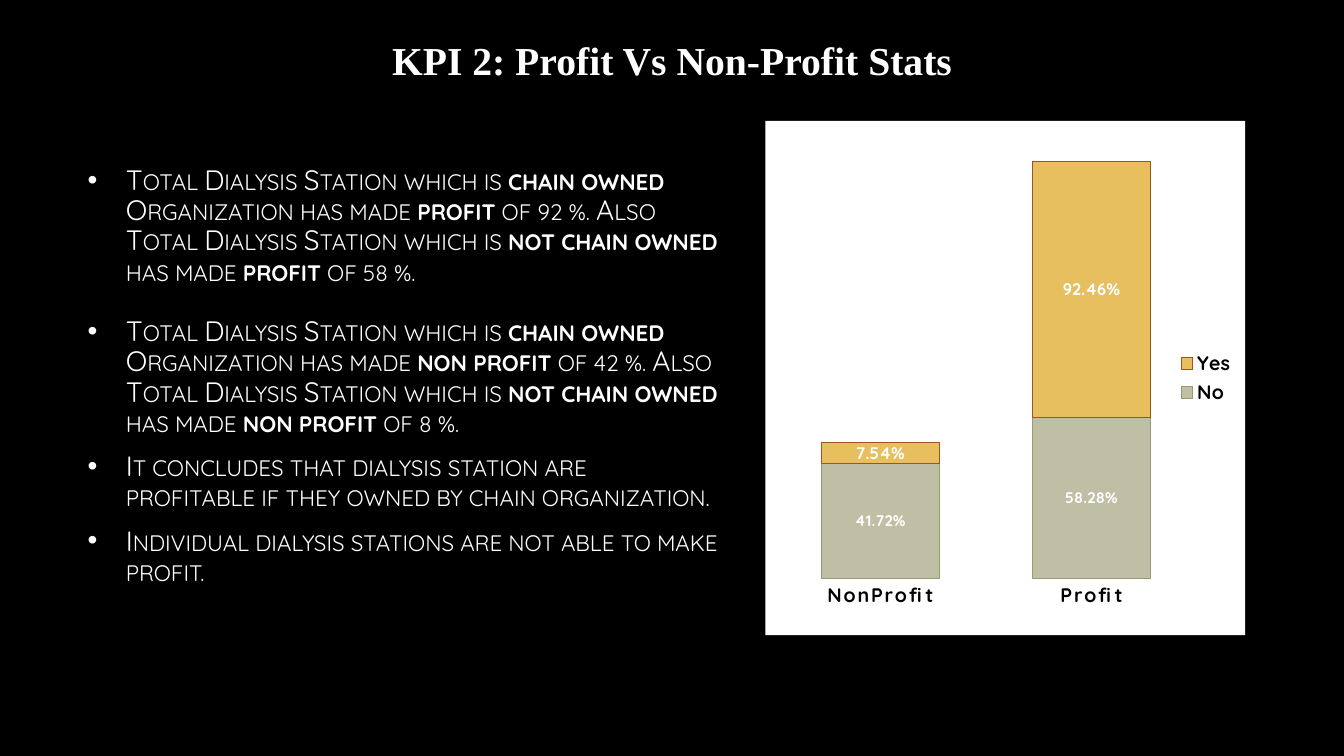
from lxml.etree import SubElement
from pptx import Presentation
from pptx.chart.data import CategoryChartData
from pptx.dml.color import RGBColor
from pptx.enum.chart import XL_CHART_TYPE, XL_LEGEND_POSITION, XL_TICK_MARK
from pptx.enum.text import MSO_ANCHOR, PP_ALIGN
from pptx.oxml import parse_xml
from pptx.oxml.ns import nsdecls, qn
from pptx.util import Inches, Pt

COLORS = {
    "black": "000000",
    "white": "FFFFFF",
    "no": "BFBFA5",
    "no_line": "9A9A71",
    "yes": "E7BF5F",
    "yes_line": "9D5425",
}
BODY_FONT = "Quicksand"
TITLE_FONT = "Times New Roman"
PERCENT = "0.00%"


def rgb(name):
    return RGBColor.from_string(COLORS[name])


def style_font(font, size, color, bold=False, name=BODY_FONT):
    font.name = name
    font.size = Pt(size)
    font.bold = bold
    font.color.rgb = rgb(color)


def add_text_frame(slide, left, top, width, height):
    box = slide.shapes.add_textbox(Inches(left), Inches(top), Inches(width), Inches(height))
    box.text_frame.word_wrap = True
    return box.text_frame


def add_title(slide, text):
    frame = add_text_frame(slide, 1.67, 0.35, 10, 0.78)
    frame.vertical_anchor = MSO_ANCHOR.BOTTOM
    frame.margin_bottom = Inches(0.3)
    frame.text = text
    heading = frame.paragraphs[0]
    heading.alignment = PP_ALIGN.CENTER
    heading.line_spacing = 0.9
    style_font(heading.runs[0].font, 28.3, "white", True, TITLE_FONT)


def set_bullet(paragraph):
    properties = paragraph._p.get_or_add_pPr()
    indent = Inches(0.38)
    properties.set("marL", str(indent))
    properties.set("indent", str(-indent))
    bullet_color = SubElement(properties, qn("a:buClr"))
    SubElement(bullet_color, qn("a:srgbClr")).set("val", COLORS["white"])
    SubElement(properties, qn("a:buFont")).set("typeface", "Arial")
    SubElement(properties, qn("a:buChar")).set("char", "•")


def add_findings(slide, findings):
    frame = add_text_frame(slide, 0.77, 1.6, 6.46, 4.93)
    for index, (space_before, parts) in enumerate(findings):
        finding = frame.paragraphs[0] if index == 0 else frame.add_paragraph()
        finding.line_spacing = 0.9
        finding.space_before = Pt(space_before)
        set_bullet(finding)
        for position, part in enumerate(parts):
            run = finding.add_run()
            run.text = part
            style_font(run.font, 20, "white", position % 2 == 1)
            run.font._element.set("cap", "small")


def white_area():
    return parse_xml(
        f'<c:spPr {nsdecls("c", "a")}><a:solidFill><a:srgbClr val="{COLORS["white"]}"/>'
        "</a:solidFill><a:ln><a:noFill/></a:ln></c:spPr>"
    )


def set_plot_area(chart, x, y, w, h):
    plot_area = chart._chartSpace.chart.plotArea
    for layout in plot_area.findall(qn("c:layout")):
        plot_area.remove(layout)
    layout = parse_xml(
        f'<c:layout {nsdecls("c")}><c:manualLayout><c:layoutTarget val="inner"/>'
        '<c:xMode val="edge"/><c:yMode val="edge"/>'
        f'<c:x val="{x}"/><c:y val="{y}"/><c:w val="{w}"/><c:h val="{h}"/>'
        "</c:manualLayout></c:layout>"
    )
    plot_area.insert(0, layout)
    plot_area.append(white_area())


def style_series(series, color, label_size):
    series.format.fill.solid()
    series.format.fill.fore_color.rgb = rgb(color)
    series.format.line.color.rgb = rgb(f"{color}_line")
    series.format.line.width = Pt(0.75)
    labels = series.data_labels
    labels.show_value = True
    labels.number_format = PERCENT
    labels.number_format_is_linked = False
    style_font(labels.font, label_size, "white", True)


def style_axes(chart):
    categories = chart.category_axis
    categories.major_tick_mark = XL_TICK_MARK.NONE
    categories.format.line.color.rgb = rgb("white")
    categories.format.line.width = Pt(0.75)
    style_font(categories.tick_labels.font, 14, "black", True)
    categories.tick_labels.font._element.set("spc", "120")
    values = chart.value_axis
    values.visible = False
    values.has_major_gridlines = False
    values.minimum_scale = 0
    values.maximum_scale = 1.6


def add_profit_chart(slide):
    data = CategoryChartData(number_format=PERCENT)
    data.categories = ["NonProfit", "Profit"]
    data.add_series("No", [0.4172, 0.5828])
    data.add_series("Yes", [0.0754, 0.9246])
    chart = slide.shapes.add_chart(
        XL_CHART_TYPE.COLUMN_STACKED,
        Inches(7.59), Inches(1.2), Inches(4.76), Inches(5.1), data,
    ).chart
    chart.has_title = False
    style_font(chart.font, 10, "white")
    chart._chartSpace.find(qn("c:txPr")).addprevious(white_area())
    plot = chart.plots[0]
    plot.gap_width = 79
    plot.overlap = 100
    plot.vary_by_categories = False
    for series, color, label_size in zip(plot.series, ("no", "yes"), (11, 12)):
        style_series(series, color, label_size)
    style_axes(chart)
    chart.has_legend = True
    chart.legend.position = XL_LEGEND_POSITION.RIGHT
    chart.legend.include_in_layout = False
    style_font(chart.legend.font, 14, "black", True)
    set_plot_area(chart, 0.02, 0.03, 0.88, 0.86)


def ownership_finding(outcome, chain_share, independent_share):
    station = "Total Dialysis Station which is "
    return [
        station, "chain owned ", "Organization has made ", outcome,
        f" of {chain_share} %. Also {station}", "not chain owned ",
        "has made ", outcome, f" of {independent_share} %.",
    ]


def main():
    presentation = Presentation()
    presentation.slide_width = Inches(13.33)
    presentation.slide_height = Inches(7.5)
    slide = presentation.slides.add_slide(presentation.slide_layouts[6])
    slide.background.fill.solid()
    slide.background.fill.fore_color.rgb = rgb("black")
    add_findings(slide, [
        (0, ownership_finding("profit", 92, 58)),
        (21.6, ownership_finding("non profit", 42, 8)),
        (10, ["It concludes that dialysis station are profitable if they owned by chain organization."]),
        (10, ["Individual dialysis stations are not able to make profit."]),
    ])
    add_title(slide, "KPI 2: Profit Vs Non-Profit Stats")
    add_profit_chart(slide)
    presentation.save("out.pptx")


if __name__ == "__main__":
    main()
